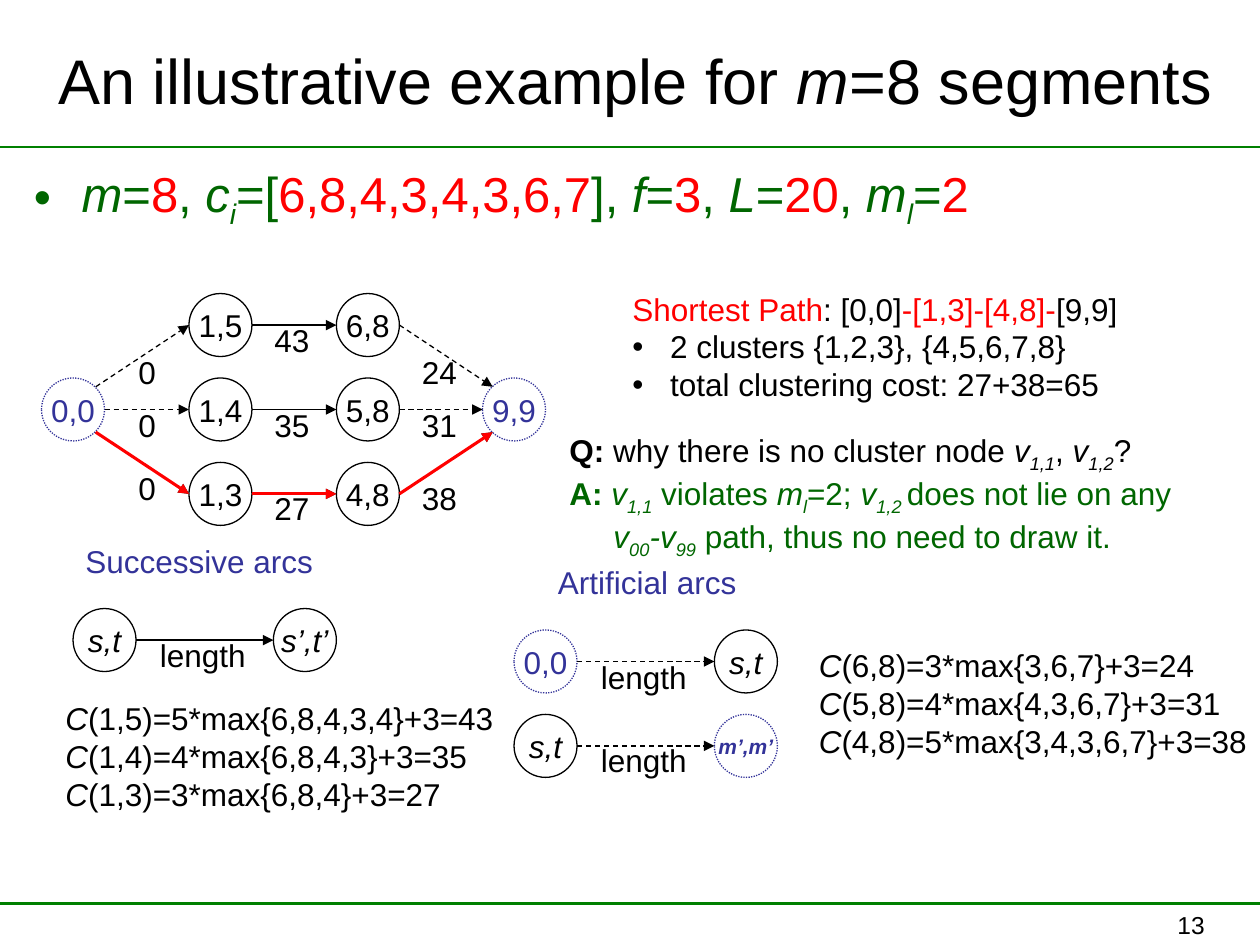
from lxml import etree
from pptx import Presentation
from pptx import util as u
from pptx.dml.color import RGBColor
from pptx.enum import dml, shapes, text
from pptx.oxml import ns
from math import cos, radians, sin

BLACK, RED, GREEN, BLUE, RULE = "000000", "FF0000", "006600", "333399", "008000"
NODE = 6
COLS = [4, 18, 32, 46]
ROWS = [28, 36, 44]
RIGHT, LEFT = 0, 180


def grid(n):
    """Turn grid units of a twelfth of an inch into a length."""
    return u.Inches(round(n / 12, 2))


def rgb(value):
    """Turn a hex string into a colour."""
    return RGBColor.from_string(value)


def write(p, runs, size=18, color=BLACK):
    """Add runs of (text, flags): i italic, b bold, s subscript, r red, k black."""
    for words, flags in runs:
        r = p.add_run()
        r.text = words
        f = r.font
        f.name, f.size = "Arial", u.Pt(size)
        f.italic, f.bold = "i" in flags, "b" in flags
        f.color.rgb = rgb(RED if "r" in flags else BLACK if "k" in flags else color)
        if "s" in flags:
            r._r.get_or_add_rPr().set("baseline", "-25000")


def indent(p, inches):
    """Give a paragraph a hanging indent."""
    pPr = p._p.get_or_add_pPr()
    pPr.set("marL", str(u.Inches(inches)))
    pPr.set("indent", str(-u.Inches(inches)))
    return pPr


def bullet(p, inches, color):
    """Give a paragraph a coloured bullet and a hanging indent."""
    pPr = indent(p, inches)
    clr = etree.SubElement(pPr, ns.qn("a:buClr"))
    etree.SubElement(clr, ns.qn("a:srgbClr")).set("val", color)
    etree.SubElement(pPr, ns.qn("a:buFont")).set("typeface", "Arial")
    etree.SubElement(pPr, ns.qn("a:buChar")).set("char", "•")


def box(s, x, y, w, h, wrap=False):
    """Add a text box on the grid and return its text frame."""
    tf = s.shapes.add_textbox(grid(x), grid(y), grid(w), grid(h)).text_frame
    tf.word_wrap = wrap
    return tf


def lines(tf, paragraphs, color=BLACK):
    """Fill a text frame with paragraphs of runs."""
    for i, runs in enumerate(paragraphs):
        p = tf.add_paragraph() if i else tf.paragraphs[0]
        write(p, runs, color=color)


def label(s, x, y, words, color=BLACK, w=None):
    """Add a one-line label, sized by its characters unless a width is given."""
    width = w or 2.4 + 1.68 * len(words)
    lines(box(s, x, y, width, 4.8), [[(words, "")]], color)


def node(s, x, y, words, flags="", artificial=False, size=18):
    """Add a round node, dotted and blue when artificial."""
    sp = s.shapes.add_shape(shapes.MSO_SHAPE.OVAL, grid(x), grid(y), grid(NODE), grid(NODE))
    sp.shadow.inherit = False
    sp.fill.background()
    color = BLUE if artificial else BLACK
    sp.line.color.rgb = rgb(color)
    sp.line.width = u.Pt(0.75)
    if artificial:
        sp.line.dash_style = dml.MSO_LINE.ROUND_DOT
    tf = sp.text_frame
    tf.word_wrap = False
    tf.vertical_anchor = text.MSO_ANCHOR.MIDDLE
    p = tf.paragraphs[0]
    p.alignment = text.PP_ALIGN.CENTER
    write(p, [(words, flags)], size, color)


def rim(x, y, angle):
    """Return the point of a node's rim at an angle clockwise from the right."""
    half, a = NODE / 2, radians(angle)
    return x + half + half * cos(a), y + half + half * sin(a)


def line(s, start, end, color=BLACK, width=0.75, dashed=False, arrow=True):
    """Draw a straight line between two grid points."""
    points = [grid(n) for n in (*start, *end)]
    c = s.shapes.add_connector(shapes.MSO_CONNECTOR.STRAIGHT, *points)
    c.line.color.rgb = rgb(color)
    c.line.width = u.Pt(width)
    if dashed:
        c.line.dash_style = dml.MSO_LINE.DASH
    if arrow:
        etree.SubElement(c.line._get_or_add_ln(), ns.qn("a:tailEnd")).set("type", "triangle")
    etree.SubElement(c._element.spPr, ns.qn("a:effectLst"))


def heading(s):
    """Write the title, the two rules, the parameters and the page number."""
    title = s.shapes.title
    title.left, title.top, title.width, title.height = map(grid, (3, 2, 115, 11))
    title.text_frame.vertical_anchor = text.MSO_ANCHOR.MIDDLE
    p = title.text_frame.paragraphs[0]
    p.alignment = text.PP_ALIGN.CENTER
    write(p, [("An illustrative example for ", ""), ("m", "i"), ("=8 segments", "")], 36)
    for y, width in ((14, 1.1), (86, 1.5)):
        line(s, (0, y), (120, y), RULE, width, arrow=False)
    p = box(s, 2, 15, 116, 70, wrap=True).paragraphs[0]
    bullet(p, 0.38, GREEN)
    write(p, [("m", "i"), ("=", ""), ("8", "r"), (", ", ""), ("c", "i"), ("i", "is"),
              ("=[", ""), ("6,8,4,3,4,3,6,7", "r"), ("], ", ""), ("f", "i"), ("=", ""),
              ("3", "r"), (", ", ""), ("L", "i"), ("=", ""), ("20", "r"), (", ", ""),
              ("m", "i"), ("l", "is"), ("=", ""), ("2", "r")], 28, GREEN)
    p = box(s, 91, 86, 25, 4, wrap=True).paragraphs[0]
    p.alignment = text.PP_ALIGN.RIGHT
    write(p, [("13", "")], 14)


def graph(s):
    """Draw the cluster graph with its shortest path in red."""
    source, first, second, sink = COLS
    middle = ROWS[1]
    node(s, source, middle, "0,0", artificial=True)
    node(s, sink, middle, "9,9", artificial=True)
    table = [("1,5", "6,8", "43", "24", -45, 33, 33),
             ("1,4", "5,8", "35", "31", 0, 38, 38),
             ("1,3", "4,8", "27", "38", 45, 44, 45)]
    for y, (a, b, cost, last, slant, y_in, y_out) in zip(ROWS, table):
        node(s, first, y, a)
        node(s, second, y, b)
        arcs = [(rim(source, middle, slant), rim(first, y, LEFT), True),
                (rim(first, y, RIGHT), rim(second, y, LEFT), False),
                (rim(second, y, RIGHT), rim(sink, middle, LEFT - slant), True)]
        for start, end, dashed in arcs:
            line(s, start, end, dashed=dashed)
        label(s, 12, y_in, "0")
        label(s, 25, y + 2, cost)
        label(s, 39, y_out, last)
    for start, end, _ in arcs:
        line(s, start, end, RED, 1.75)


def legend_arc(s, x, y, left, right, dashed):
    """Draw a legend pair of nodes joined by an arc marked length."""
    far = x + 19
    node(s, x, y, **left)
    node(s, far, y, **right)
    line(s, rim(x, y, RIGHT), rim(far, y, LEFT), dashed=dashed)
    label(s, x + 7, y + 2, "length", w=10.56)


def legend(s):
    """Explain the successive and the artificial arcs."""
    plain = dict(words="s,t", flags="i")
    label(s, 7, 51, "Successive arcs", BLUE, 25)
    legend_arc(s, 7, 58, plain, dict(words="s’,t’", flags="i"), False)
    label(s, 52, 53, "Artificial arcs", BLUE, 20.5)
    legend_arc(s, 49, 60, dict(words="0,0", artificial=True), plain, True)
    last = dict(words="m’,m’", flags="bi", artificial=True, size=12)
    legend_arc(s, 49, 68, plain, last, True)


def costs(s, x, y, sums):
    """List cost formulas, each led by an italic C."""
    lines(box(s, x, y, 43.2, 12), [[("C", "i"), (words, "")] for words in sums])


def notes(s):
    """Write the shortest path, and the question with its answer."""
    tf = box(s, 59, 27, 48.6, 12)
    lines(tf, [[("Shortest Path", "r"), (": [0,0]", ""), ("-[1,3]-[4,8]-", "r"), ("[9,9]", "")],
               [("2 clusters {1,2,3}, {4,5,6,7,8}", "")],
               [("total clustering cost: 27+38=65", "")]])
    for p in tf.paragraphs[1:]:
        bullet(p, 0.3, BLACK)
    tf = box(s, 53, 40.4, 65.9, 13.6, wrap=True)
    lines(tf, [[("Q:", "bk"), (" why there is no cluster node ", "k"), ("v", "ik"),
                ("1,1", "isk"), (", ", "k"), ("v", "ik"), ("1,2", "isk"), ("?", "k")],
               [("A: ", "b"), ("v", "i"), ("1,1", "is"), (" violates ", ""), ("m", "i"),
                ("l", "is"), ("=2; ", ""), ("v", "i"), ("1,2 ", "is"),
                ("does not lie on any", "")]], GREEN)
    answer = tf.paragraphs[1]
    indent(answer, 0.35)
    answer.add_line_break()
    write(answer, [("v", "i"), ("00", "is"), ("-v", "i"), ("99", "is"),
                   (" path, thus no need to draw it.", "")], color=GREEN)


def main():
    """Build the slide and save it."""
    prs = Presentation()
    prs.slide_width, prs.slide_height = grid(120), grid(90)
    s = prs.slides.add_slide(prs.slide_layouts[5])
    heading(s)
    graph(s)
    legend(s)
    costs(s, 5, 66, ["(1,5)=5*max{6,8,4,3,4}+3=43", "(1,4)=4*max{6,8,4,3}+3=35",
                     "(1,3)=3*max{6,8,4}+3=27"])
    costs(s, 76.8, 61, ["(6,8)=3*max{3,6,7}+3=24", "(5,8)=4*max{4,3,6,7}+3=31",
                        "(4,8)=5*max{3,4,3,6,7}+3=38"])
    notes(s)
    prs.save("out.pptx")


if __name__ == "__main__":
    main()
